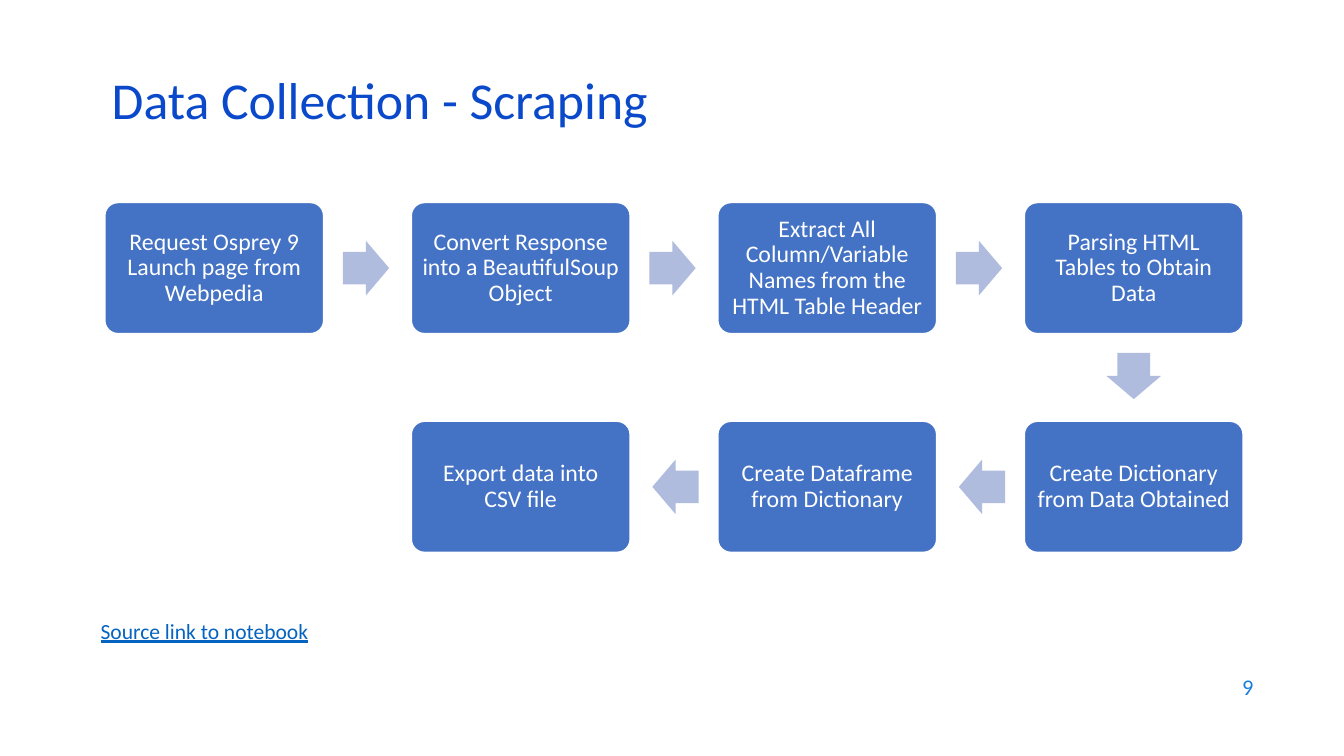
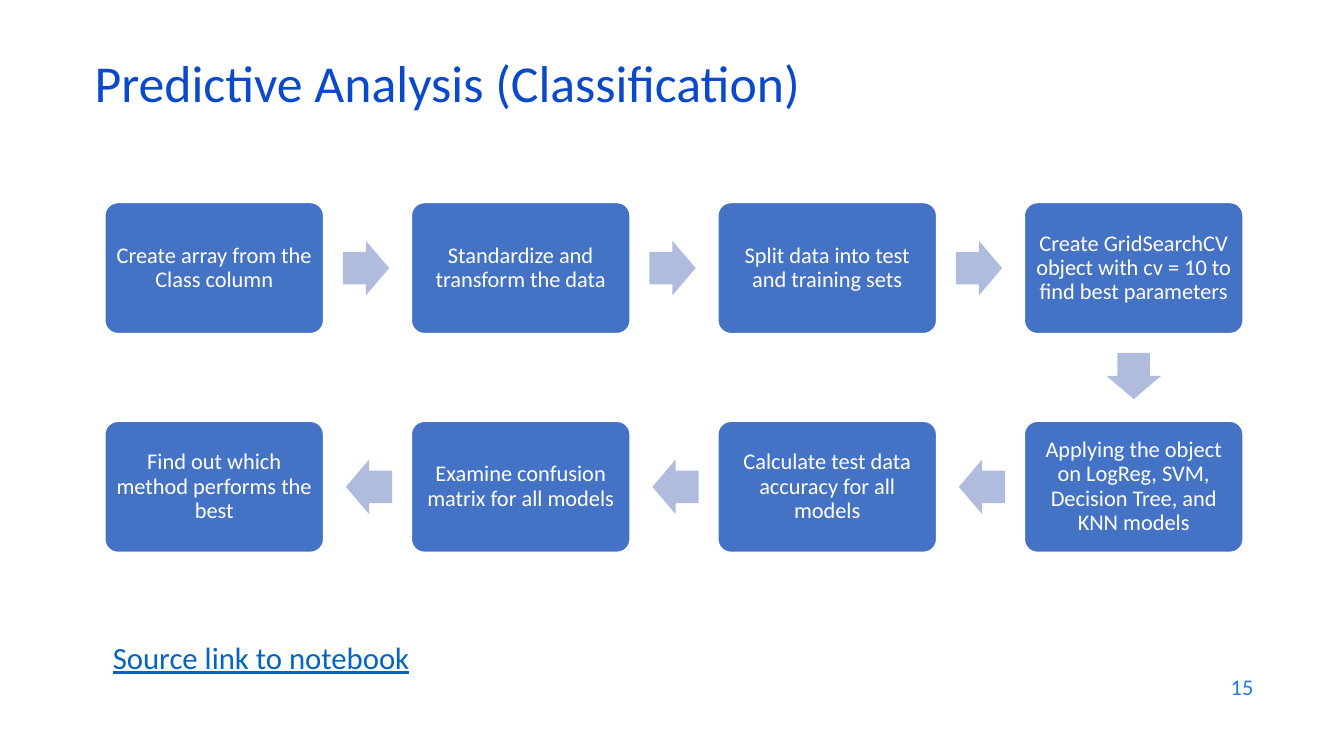
from dataclasses import dataclass

from pptx import Presentation
from pptx.dml.color import RGBColor
from pptx.enum.shapes import MSO_SHAPE
from pptx.enum.text import MSO_ANCHOR, PP_ALIGN
from pptx.util import Inches, Pt

ROUNDED = MSO_SHAPE.ROUNDED_RECTANGLE
ARROW = MSO_SHAPE.RIGHT_ARROW
TOP, MIDDLE = MSO_ANCHOR.TOP, MSO_ANCHOR.MIDDLE
LEFT, CENTER, RIGHT = PP_ALIGN.LEFT, PP_ALIGN.CENTER, PP_ALIGN.RIGHT

COLUMNS = 4
FLOW_LEFT, FLOW_TOP = 1.04, 2.01
COLUMN_PITCH, ROW_PITCH = 3.04, 2.17
CARD_WIDTH, CARD_HEIGHT = 2.17, 1.3
CARD_INSET = 0.07
ARROW_LENGTH, ARROW_BREADTH = 0.46, 0.54
ARROW_GAP = 0.19


@dataclass(frozen=True)
class Theme:
    font: str = "Calibri"
    title: RGBColor = RGBColor(0x0B, 0x49, 0xCB)
    number: RGBColor = RGBColor(0x1C, 0x7D, 0xDB)
    link: RGBColor = RGBColor(0x05, 0x63, 0xC1)
    card: RGBColor = RGBColor(0x44, 0x72, 0xC4)
    arrow: RGBColor = RGBColor(0xB0, 0xBC, 0xDE)
    white: RGBColor = RGBColor(0xFF, 0xFF, 0xFF)
    title_size: float = 37
    number_size: float = 16


class FlowDeck:
    def __init__(self, theme):
        self.theme = theme
        self.deck = Presentation()
        self.deck.slide_width = Inches(13.33)
        self.deck.slide_height = Inches(7.5)
        self.page = None

    def add_page(self):
        self.page = self.deck.slides.add_slide(self.deck.slide_layouts[6])

    def set_text(self, frame, text, size, color, align=LEFT, anchor=MIDDLE, spacing=1.0):
        frame.word_wrap = True
        frame.vertical_anchor = anchor
        para = frame.paragraphs[0]
        para.text = text
        para.alignment = align
        para.line_spacing = spacing
        para.font.name = self.theme.font
        para.font.size = Pt(size)
        para.font.color.rgb = color
        return para

    def text_box(self, left, top, width, height):
        box = self.page.shapes.add_textbox(
            Inches(left), Inches(top), Inches(width), Inches(height))
        return box.text_frame

    def title(self, text, left, top):
        self.set_text(self.text_box(left, top, 11.5, 0.6), text,
                      self.theme.title_size, self.theme.title, spacing=0.7)

    def page_number(self, number):
        self.set_text(self.text_box(9.53, 6.59, 3, 0.44), str(number),
                      self.theme.number_size, self.theme.number, RIGHT)

    def link(self, text, at, size, spacing):
        para = self.set_text(self.text_box(*at), text, size, self.theme.link,
                             anchor=TOP, spacing=spacing)
        para.font.underline = True

    def shape(self, kind, left, top, width, height, fill):
        shape = self.page.shapes.add_shape(
            kind, Inches(left), Inches(top), Inches(width), Inches(height))
        shape.shadow.inherit = False
        shape.fill.solid()
        shape.fill.fore_color.rgb = fill
        shape.line.fill.background()
        return shape

    def card(self, left, top, text, size):
        card = self.shape(ROUNDED, left, top, CARD_WIDTH, CARD_HEIGHT, self.theme.card)
        card.adjustments[0] = 0.1
        card.line.color.rgb = self.theme.white
        card.line.width = Pt(1)
        frame = card.text_frame
        frame.margin_left = frame.margin_right = Inches(CARD_INSET)
        frame.margin_top = frame.margin_bottom = Inches(CARD_INSET)
        self.set_text(frame, text, size, self.theme.white, CENTER, spacing=0.9)

    def arrow(self, left, top, across, down):
        """Point from the card at left, top towards its neighbour."""
        reach = ARROW_GAP + ARROW_LENGTH / 2
        center_x = left + CARD_WIDTH / 2 + across * (CARD_WIDTH / 2 + reach)
        center_y = top + CARD_HEIGHT / 2 + down * (CARD_HEIGHT / 2 + reach)
        arrow = self.shape(ARROW, center_x - ARROW_LENGTH / 2,
                           center_y - ARROW_BREADTH / 2,
                           ARROW_LENGTH, ARROW_BREADTH, self.theme.arrow)
        arrow.adjustments[0] = 0.6
        arrow.adjustments[1] = 0.5
        arrow.rotation = {(1, 0): 0, (0, 1): 90, (-1, 0): 180}[across, down]

    def flow(self, steps, size):
        """Lay the steps out row by row, turning back at each row's end."""
        cells = []
        for index in range(len(steps)):
            row, column = divmod(index, COLUMNS)
            cells.append((COLUMNS - 1 - column if row % 2 else column, row))
        for index, (step, (column, row)) in enumerate(zip(steps, cells)):
            left = FLOW_LEFT + column * COLUMN_PITCH
            top = FLOW_TOP + row * ROW_PITCH
            self.card(left, top, step, size)
            if index + 1 < len(cells):
                next_column, next_row = cells[index + 1]
                self.arrow(left, top, next_column - column, next_row - row)


def main():
    slides = FlowDeck(Theme())

    slides.add_page()
    slides.page_number(9)
    slides.title("Data Collection - Scraping", 1.01, 0.76)
    slides.link("Source link to notebook", (0.9, 6.13, 2.48, 0.46), 15.4, 0.8)
    slides.flow([
        "Request Osprey 9 Launch page from Webpedia",
        "Convert Response into a BeautifulSoup Object",
        "Extract All Column/Variable Names from the HTML Table Header",
        "Parsing HTML Tables to Obtain Data",
        "Create Dictionary from Data Obtained",
        "Create Dataframe from Dictionary",
        "Export data into CSV file",
    ], 17)

    slides.add_page()
    slides.page_number(15)
    slides.title("Predictive Analysis (Classification)", 0.84, 0.59)
    slides.link("Source link to notebook", (1.02, 6.33, 3.38, 0.48), 22, 0.9)
    slides.flow([
        "Create array from the Class column",
        "Standardize and transform the data",
        "Split data into test and training sets",
        "Create GridSearchCV object with cv = 10 to find best parameters",
        "Applying the object on LogReg, SVM, Decision Tree, and KNN models",
        "Calculate test data accuracy for all models",
        "Examine confusion matrix for all models",
        "Find out which method performs the best",
    ], 16)

    slides.deck.save("out.pptx")


if __name__ == "__main__":
    main()
